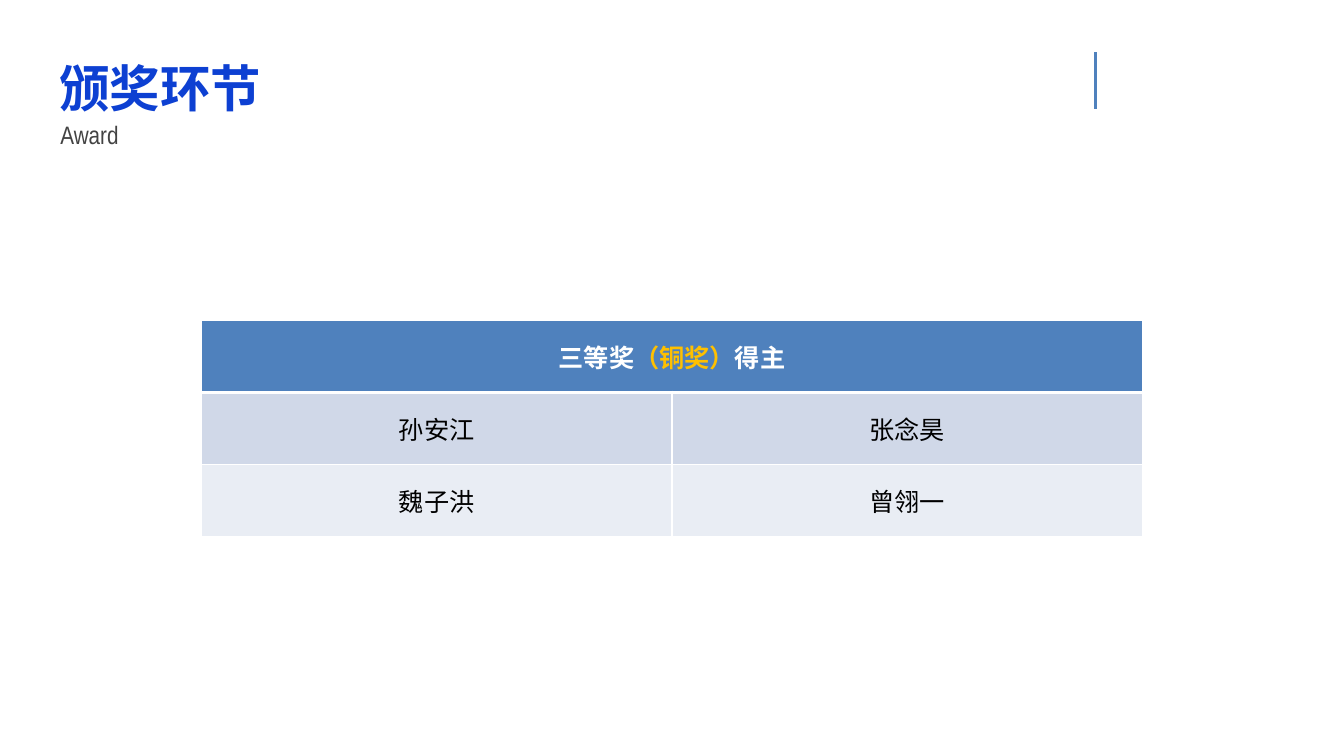
from dataclasses import dataclass

from lxml.etree import SubElement
from pptx import Presentation
from pptx.dml.color import RGBColor as Color
from pptx.enum.shapes import MSO_CONNECTOR as Connector
from pptx.enum.text import MSO_ANCHOR as Anchor, MSO_AUTO_SIZE as AutoSize, PP_ALIGN as Align
from pptx.oxml.ns import qn
from pptx.util import Pt


@dataclass(frozen=True)
class Theme:
    blue: str = "0D40D2"
    steel: str = "4F81BD"
    gold: str = "FFC000"
    white: str = "FFFFFF"
    black: str = "000000"
    gray: str = "434343"
    bands: tuple = ("D0D8E8", "E9EDF4")
    title_size: int = 36
    body_size: int = 18
    chinese: str = "Noto Sans CJK SC"
    latin: str = "Arial Narrow"


class Page:
    def __init__(self, deck, theme):
        self.theme = theme
        self.slide = deck.slides.add_slide(deck.slide_layouts[5])
        self.shapes = self.slide.shapes

    def style(self, font, face, size, color, bold=False):
        font.size, font.bold = Pt(size), bold
        font.color.rgb = Color.from_string(color)
        font.name = face
        SubElement(font._rPr, qn("a:ea"), typeface=face)

    def fill_text(self, box, text, anchor, **look):
        frame = box.text_frame
        frame.margin_left = frame.margin_top = frame.margin_right = frame.margin_bottom = 0
        frame.word_wrap, frame.auto_size = True, AutoSize.NONE
        frame.vertical_anchor = anchor
        frame.text = text
        para = frame.paragraphs[0]
        para.alignment = Align.LEFT
        self.style(para.font, **look)

    def title(self, text, left, top, width, height):
        box = self.shapes.title
        box.left, box.top, box.width, box.height = map(Pt, (left, top, width, height))
        self.fill_text(box, text, Anchor.MIDDLE, face=self.theme.chinese,
                       size=self.theme.title_size, color=self.theme.blue, bold=True)

    def subtitle(self, text, left, top, width, height):
        box = self.shapes.add_textbox(*map(Pt, (left, top, width, height)))
        self.fill_text(box, text, Anchor.TOP, face=self.theme.latin,
                       size=self.theme.body_size, color=self.theme.gray)

    def line(self, x1, y1, x2, y2, weight):
        rule = self.shapes.add_connector(Connector.STRAIGHT, *map(Pt, (x1, y1, x2, y2)))
        rule.line.color.rgb = Color.from_string(self.theme.steel)
        rule.line.width = Pt(weight)
        SubElement(rule._element.spPr, qn("a:effectLst"))

    def cell(self, cell, fill, **weights):
        properties = cell._tc.get_or_add_tcPr()
        for side in "LRTB":
            border = SubElement(properties, qn(f"a:ln{side}"), w=str(Pt(weights.get(side, 1))))
            paint = SubElement(border, qn("a:solidFill"))
            SubElement(paint, qn("a:srgbClr"), val=self.theme.white)
        cell.fill.solid()
        cell.fill.fore_color.rgb = Color.from_string(fill)
        cell.vertical_anchor = Anchor.MIDDLE
        cell.text_frame.paragraphs[0].alignment = Align.CENTER

    def award_table(self, heading, winners, left, top, width, height):
        theme = self.theme
        rows, columns = len(winners) + 1, len(winners[0])
        frame = self.shapes.add_table(rows, columns, *map(Pt, (left, top, width, height)))
        table = frame.table

        # Heading across all columns
        for column in range(columns):
            self.cell(table.cell(0, column), theme.steel, B=3)
        table.cell(0, 0).merge(table.cell(0, columns - 1))
        para = table.cell(0, 0).text_frame.paragraphs[0]
        for text, color in heading:
            span = para.add_run()
            span.text = text
            self.style(span.font, theme.chinese, theme.body_size, color, bold=True)

        # Winners in banded rows
        for row, names in enumerate(winners, 1):
            for column, name in enumerate(names):
                cell = table.cell(row, column)
                cell.text = name
                self.cell(cell, theme.bands[(row - 1) % 2], T=3 if row == 1 else 1)
                self.style(cell.text_frame.paragraphs[0].font,
                           theme.chinese, theme.body_size, theme.black)


def main():
    deck = Presentation()
    deck.slide_width, deck.slide_height = Pt(960), Pt(540)
    theme = Theme()
    page = Page(deck, theme)

    # Header
    page.subtitle("Award", 43.2, 85, 130, 14.4)
    page.title("颁奖环节", 42.5, 42.5, 163.4, 39.6)

    # Winners
    page.award_table(
        [("三等奖", theme.white), ("（铜奖）", theme.gold), ("得主", theme.white)],
        [("孙安江", "张念昊"), ("魏子洪", "曾翎一")],
        144, 229, 672, 154)

    # Corner rule
    page.line(782.6, 37.4, 782.6, 77.8, 2)
    deck.save("out.pptx")


if __name__ == "__main__":
    main()
